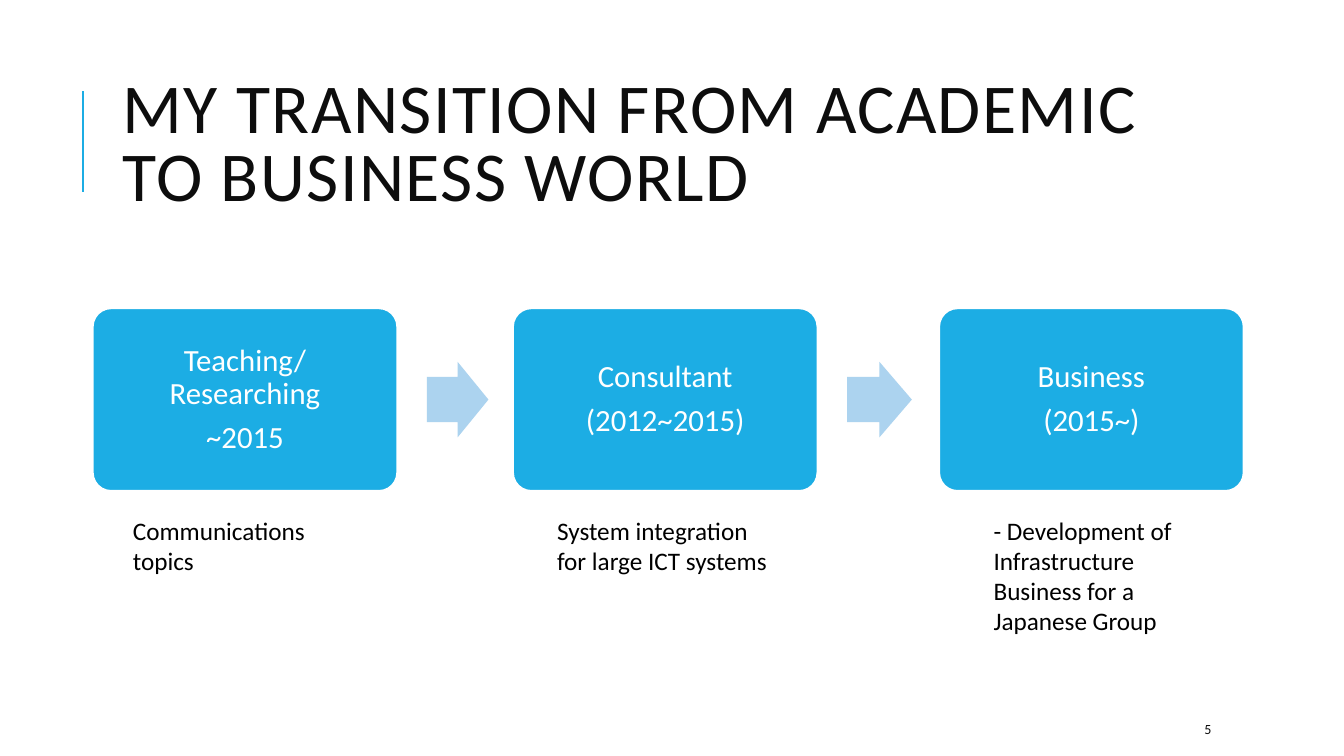
from dataclasses import dataclass

from lxml import etree
from pptx import Presentation
from pptx.dml.color import RGBColor
from pptx.enum.shapes import MSO_CONNECTOR, MSO_SHAPE
from pptx.enum.text import MSO_ANCHOR, PP_ALIGN
from pptx.oxml.ns import qn
from pptx.util import Cm, Pt

LINE = MSO_CONNECTOR.STRAIGHT
ROUNDED, ARROW = MSO_SHAPE.ROUNDED_RECTANGLE, MSO_SHAPE.RIGHT_ARROW
TOP, MIDDLE = MSO_ANCHOR.TOP, MSO_ANCHOR.MIDDLE
LEFT, CENTER = PP_ALIGN.LEFT, PP_ALIGN.CENTER


@dataclass(frozen=True)
class Theme:
    font: str = "Calibri"
    accent: RGBColor = RGBColor(0x1C, 0xAD, 0xE4)
    arrow: RGBColor = RGBColor(0xAC, 0xD3, 0xEF)
    heading: RGBColor = RGBColor(0x0D, 0x0D, 0x0D)
    body: RGBColor = RGBColor(0, 0, 0)
    white: RGBColor = RGBColor(0xFF, 0xFF, 0xFF)
    title_size: int = 50
    stage_size: int = 22
    note_size: int = 18
    number_size: int = 10


THEME = Theme()

# Stage left, note indent, arrow width after the stage, stage lines, note
STAGES = [
    (2.34, 0.76, 1.55, ["Teaching/Researching", "~2015"],
     "Communications topics"),
    (12.93, 0.86, 1.63, ["Consultant", "(2012~2015)"],
     "System integration for large ICT systems"),
    (23.67, 1.12, None, ["Business", "(2015~)"],
     "- Development of Infrastructure Business for a Japanese Group"),
]


def write(tf, lines, size, color, anchor=TOP, align=LEFT, spacing=None, after=None):
    """Fill a text frame with one run per line and return the runs."""
    tf.word_wrap = True
    tf.vertical_anchor = anchor
    runs = []
    for i, line in enumerate(lines):
        p = tf.paragraphs[0] if i == 0 else tf.add_paragraph()
        p.alignment = align
        p.line_spacing = spacing
        p.space_after = after
        r = p.add_run()
        r.text = line
        r.font.name = THEME.font
        r.font.size = Pt(size)
        r.font.color.rgb = color
        runs.append(r)
    return runs


def add_text(s, left, top, width, height, *args, **kwargs):
    box = s.shapes.add_textbox(Cm(left), Cm(top), Cm(width), Cm(height))
    return write(box.text_frame, *args, **kwargs)


def add_filled(s, kind, left, top, width, height, fill):
    sp = s.shapes.add_shape(kind, Cm(left), Cm(top), Cm(width), Cm(height))
    sp.shadow.inherit = False
    sp.fill.solid()
    sp.fill.fore_color.rgb = fill
    sp.line.fill.background()
    return sp


def add_title(s, left, top, width, height):
    rule_x = left - 0.74
    rule = s.shapes.add_connector(
        LINE, Cm(rule_x), Cm(top + 3.2), Cm(rule_x), Cm(top + 0.66))
    rule.line.color.rgb = THEME.accent
    rule.line.width = Pt(1.5)
    etree.SubElement(rule._element.spPr, qn("a:effectLst"))
    runs = add_text(s, left, top, width, height,
                    ["MY TRANSITION FROM ACADEMIC TO BUSINESS WORLD"],
                    THEME.title_size, THEME.heading, anchor=MIDDLE, spacing=0.8)
    runs[0].font._element.set("spc", "100")


def add_stage(s, left, top, width, height, lines):
    sp = add_filled(s, ROUNDED, left, top, width, height, THEME.accent)
    sp.adjustments[0] = 0.1
    sp.line.color.rgb = THEME.white
    sp.line.width = Pt(1.25)
    tf = sp.text_frame
    tf.margin_left = tf.margin_right = Cm(0.36)
    tf.margin_top = tf.margin_bottom = Cm(0.36)
    write(tf, lines, THEME.stage_size, THEME.white, anchor=MIDDLE,
          align=CENTER, spacing=0.9, after=Pt(7.5))


def add_process(s, top, width, height):
    """Place each stage, the arrow that follows it and the note below it."""
    arrow_height = 1.9
    for left, indent, arrow_width, lines, note in STAGES:
        add_stage(s, left, top, width, height, lines)
        if arrow_width:
            arrow = add_filled(s, ARROW, left + width + 0.75,
                               top + (height - arrow_height) / 2,
                               arrow_width, arrow_height, THEME.arrow)
            arrow.adjustments[0] = 0.6
            arrow.adjustments[1] = 0.5
        add_text(s, left + indent, top + height + 0.48, 6, 1.8,
                 [note], THEME.note_size, THEME.body)


def main():
    prs = Presentation()
    prs.slide_width, prs.slide_height = Cm(33.87), Cm(19.05)
    s = prs.slides.add_slide(prs.slide_layouts[6])
    add_title(s, 2.84, 1.63, 27, 4.17)
    add_process(s, 7.77, 7.67, 4.6)
    add_text(s, 30.1, 17.98, 2.69, 0.76, ["5"],
             THEME.number_size, THEME.heading, anchor=MIDDLE)
    prs.save("out.pptx")


if __name__ == "__main__":
    main()
